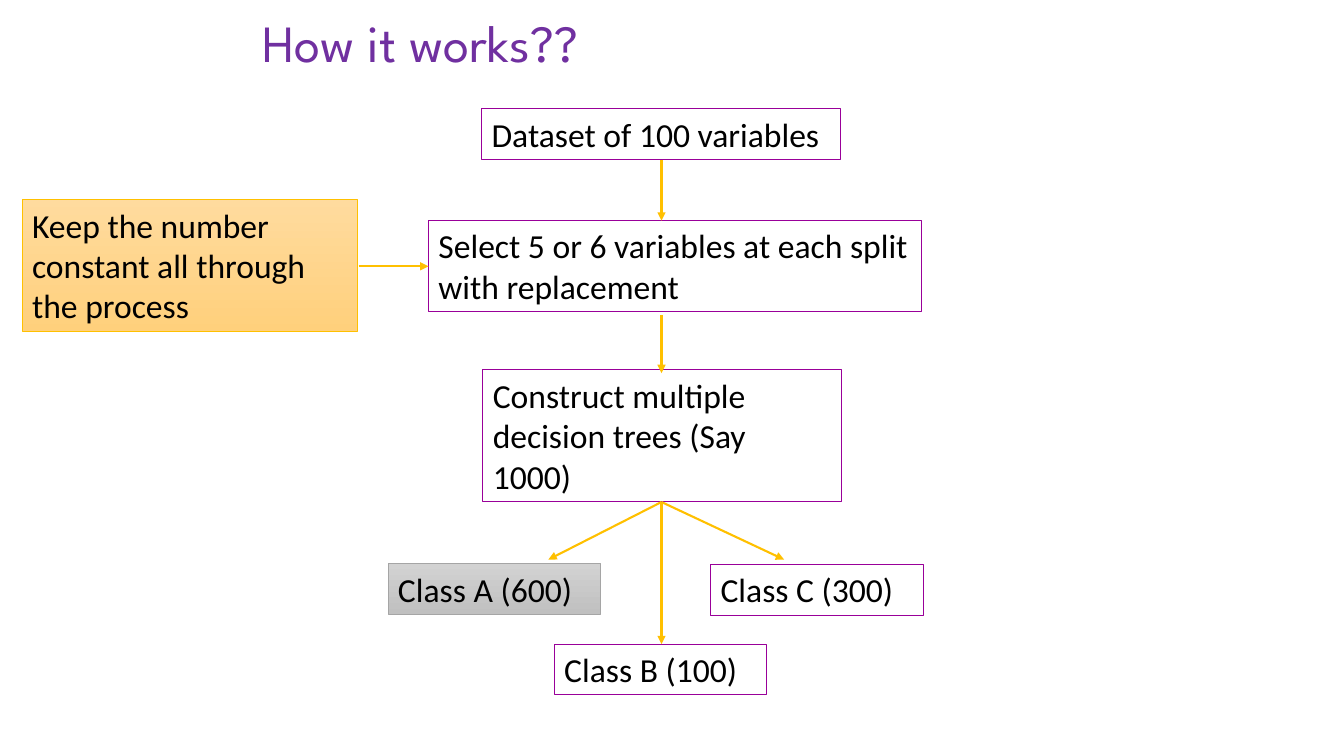
from dataclasses import dataclass
from lxml import etree
from pptx import Presentation
from pptx import util as u
from pptx.dml.color import RGBColor
from pptx.enum import shapes, text
from pptx.oxml.ns import qn


@dataclass(frozen=True)
class Theme:
    title_font: str = "League Spartan"
    body_font: str = "Calibri"
    title_size: float = 37.3
    body_size: float = 24
    title_color: str = "7030A0"
    text_color: str = "000000"
    arrow_color: str = "FFC000"
    plain: tuple = ("990099", 0.75, None)
    note: tuple = ("FFC000", 0.5, ("FFDB9E", "FFD07C"))
    winner: tuple = ("A5A5A5", 0.5, ("D2D2D2", "C0C0C0"))


theme = Theme()


def add_box(wording, left, top, width, lines, style):
    line_color, line_width, gradient = style
    height = 0.26 + 1.02 * lines
    shape = slide.shapes.add_shape(
        shapes.MSO_SHAPE.RECTANGLE, u.Cm(left), u.Cm(top), u.Cm(width), u.Cm(height))
    shape.shadow.inherit = False
    shape.line.color.rgb = RGBColor.from_string(line_color)
    shape.line.width = u.Pt(line_width)
    if gradient:
        shape.fill.gradient()
        shape.fill.gradient_angle = 270
        for stop, color in zip(shape.fill.gradient_stops, gradient):
            stop.color.rgb = RGBColor.from_string(color)
    else:
        shape.fill.background()
    frame = shape.text_frame
    frame.word_wrap = True
    frame.vertical_anchor = text.MSO_ANCHOR.TOP
    frame.text = wording
    paragraph = frame.paragraphs[0]
    paragraph.alignment = text.PP_ALIGN.LEFT
    paragraph.font.name = theme.body_font
    paragraph.font.size = u.Pt(theme.body_size)
    paragraph.font.color.rgb = RGBColor.from_string(theme.text_color)


def add_arrow(start, end):
    arrow = slide.shapes.add_connector(
        shapes.MSO_CONNECTOR.STRAIGHT, *(u.Cm(value) for value in (*start, *end)))
    arrow.line.color.rgb = RGBColor.from_string(theme.arrow_color)
    arrow.line.width = u.Pt(1.5)
    etree.SubElement(arrow.line._get_or_add_ln(), qn("a:tailEnd"), type="triangle")
    etree.SubElement(arrow._element.spPr, qn("a:effectLst"))


presentation = Presentation()
presentation.slide_width = u.Cm(33.87)
presentation.slide_height = u.Cm(19.05)
slide = presentation.slides.add_slide(presentation.slide_layouts[5])

title = slide.shapes.title
title.left, title.top, title.width, title.height = (
    u.Cm(value) for value in (6.35, 0.03, 21.16, 2.26))
title.text_frame.text = "How it works??"
title.text_frame.auto_size = text.MSO_AUTO_SIZE.NONE
title.text_frame.vertical_anchor = text.MSO_ANCHOR.MIDDLE
heading = title.text_frame.paragraphs[0]
heading.alignment = text.PP_ALIGN.LEFT
heading.line_spacing = 0.9
heading.font.name = theme.title_font
heading.font.size = u.Pt(theme.title_size)
heading.font.color.rgb = RGBColor.from_string(theme.title_color)

step_width, class_width = 9.04, 5.36
for box in (
    ("Dataset of 100 variables", 12.14, 2.74, step_width, 1, theme.plain),
    ("Select 5 or 6 variables at each split with replacement",
     10.8, 5.55, 12.42, 2, theme.plain),
    ("Construct multiple decision trees (Say 1000)",
     12.17, 9.32, step_width, 3, theme.plain),
    ("Keep the number constant all through the process", 0.56, 5.03, 8.46, 3, theme.note),
    ("Class A (600)", 9.78, 14.2, class_width, 1, theme.winner),
    ("Class C (300)", 17.91, 14.22, class_width, 1, theme.plain),
    ("Class B (100)", 13.97, 16.23, class_width, 1, theme.plain),
):
    add_box(*box)

center = 16.67
add_arrow((center, 4.03), (center, 5.56))
add_arrow((center, 7.95), (center, 9.4))
add_arrow((9.04, 6.71), (10.8, 6.71))
for class_point in ((13.82, 14.1), (19.76, 14.1), (center, 16.23)):
    add_arrow((center, 12.65), class_point)

presentation.save("out.pptx")
